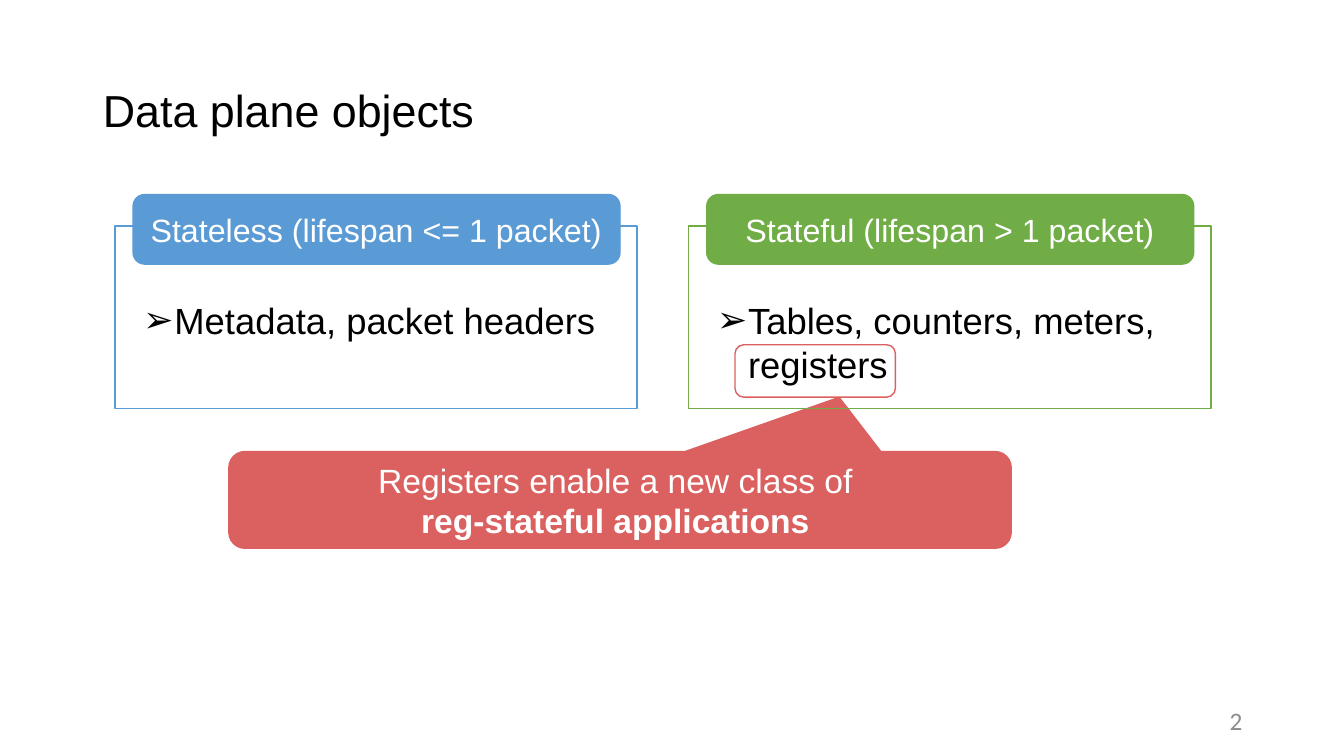
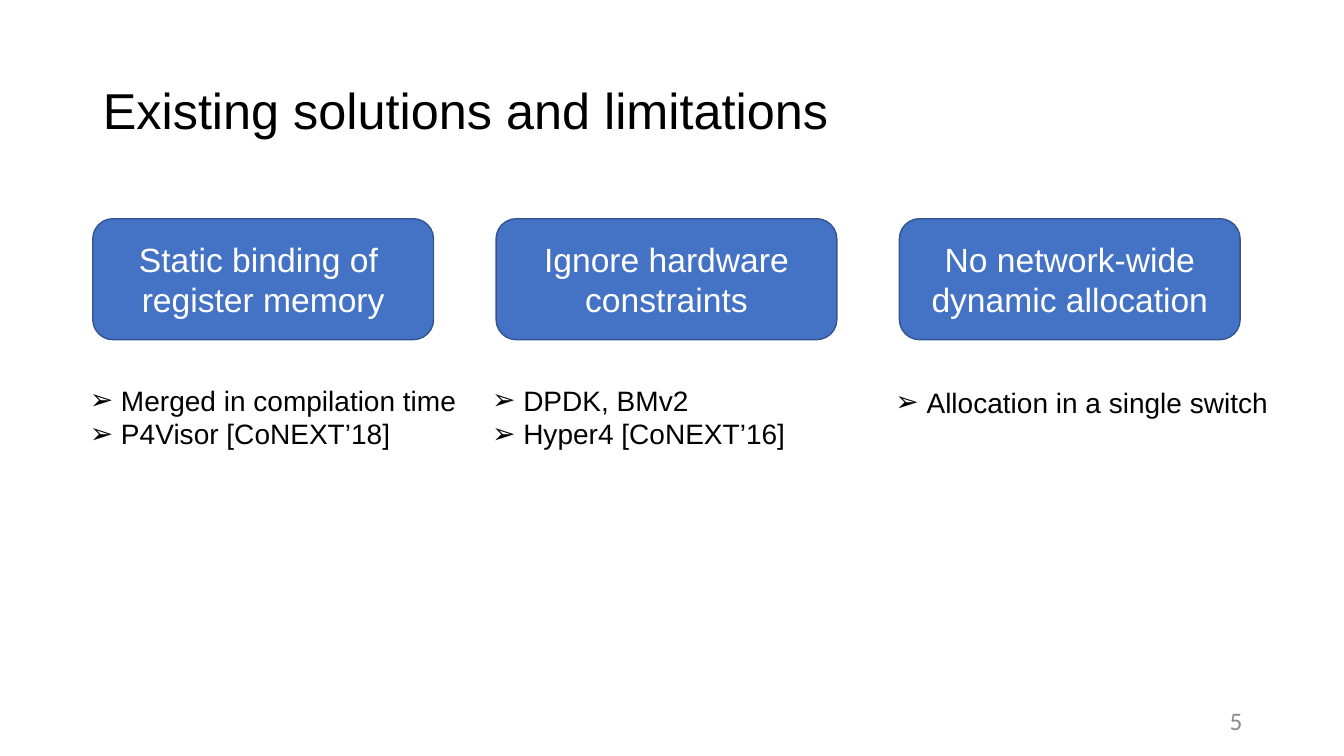
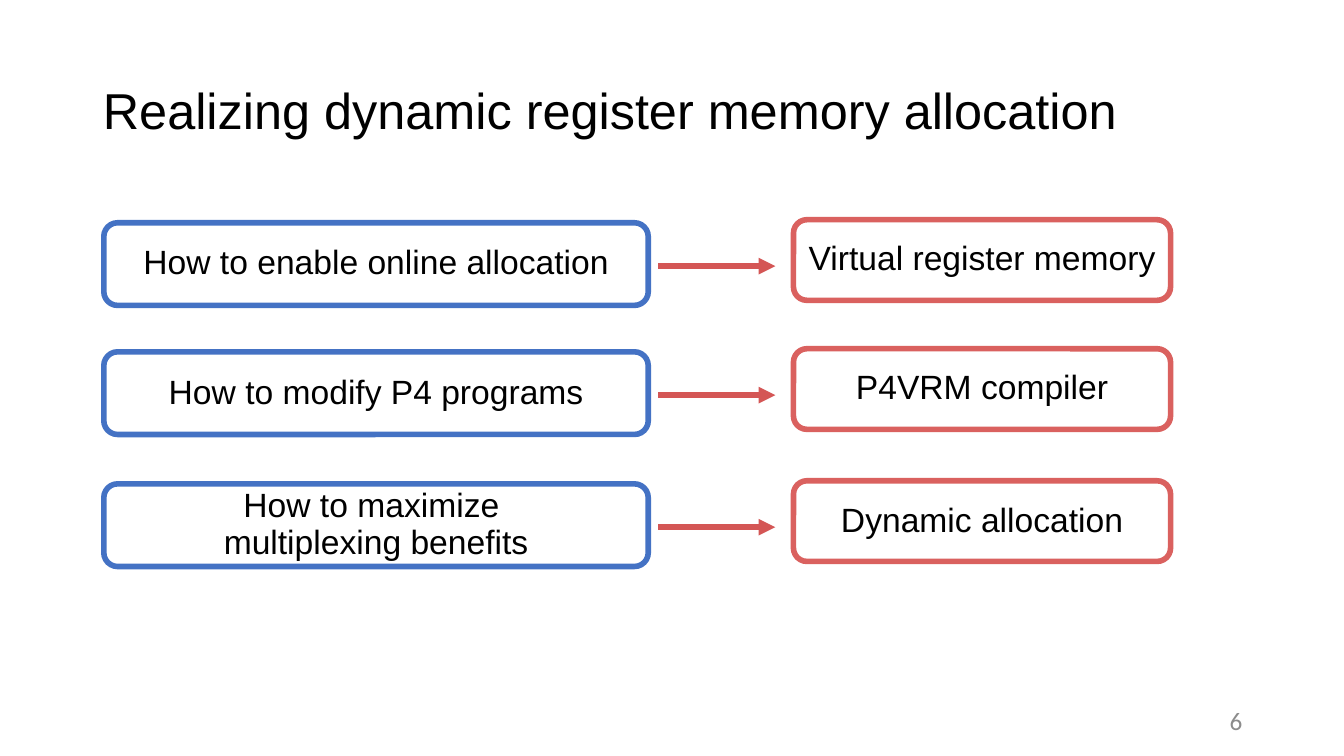
from dataclasses import dataclass

import lxml.etree
import pptx
import pptx.dml.color
import pptx.enum.shapes
import pptx.enum.text
import pptx.oxml.ns
import pptx.util

EMU_PER_PX = 9144
SHAPE = pptx.enum.shapes.MSO_SHAPE
ALIGN = pptx.enum.text.PP_ALIGN
ANCHOR = pptx.enum.text.MSO_ANCHOR
AUTO_SIZE = pptx.enum.text.MSO_AUTO_SIZE
qn = pptx.oxml.ns.qn


@dataclass(frozen=True)
class Theme:
    font: str = "Arial"
    number_font: str = "Calibri"
    black: str = "000000"
    white: str = "FFFFFF"
    grey: str = "8C8C8C"
    sky: str = "5B9BD5"
    green: str = "70AD46"
    red: str = "DA615F"
    arrow: str = "D45655"
    blue: str = "4472C4"
    navy: str = "325491"
    title_size: int = 36
    small_title_size: int = 32
    card_list_size: int = 26
    box_size: int = 24
    header_size: int = 23
    list_size: int = 20
    number_size: int = 18
    thin: int = 1
    thick: int = 4
    tight: float = 0.9


@dataclass(frozen=True)
class Box:
    left: int
    top: int
    width: int
    height: int


@dataclass(frozen=True)
class Card:
    left: int
    color: str
    header: str
    item: str
    list_height: int


@dataclass(frozen=True)
class Limitation:
    lines: tuple[str, ...]
    examples: tuple[str, ...]
    list_box: Box


@dataclass(frozen=True)
class Step:
    top: int
    question: tuple[str, ...]
    answer: str


THEME = Theme()

CARDS = (
    Card(114, THEME.sky, "Stateless (lifespan <= 1 packet)", "Metadata, packet headers", 54),
    Card(683, THEME.green, "Stateful (lifespan > 1 packet)", "Tables, counters, meters, registers", 98),
)

LIMITATIONS = (
    Limitation(
        ("Static binding of ", "register memory"),
        ("Merged in compilation time", "P4Visor [CoNEXT’18]"),
        Box(79, 375, 400, 77),
    ),
    Limitation(
        ("Ignore hardware constraints",),
        ("DPDK, BMv2", "Hyper4 [CoNEXT’16]"),
        Box(478, 375, 364, 77),
    ),
    Limitation(
        ("No network-wide dynamic allocation",),
        ("Allocation in a single switch",),
        Box(878, 377, 414, 44),
    ),
)

STEPS = (
    Step(221, ("How to enable online allocation",), "Virtual register memory"),
    Step(349, ("How to modify P4 programs",), "P4VRM compiler"),
    Step(480, ("How to maximize ", "multiplexing benefits"), "Dynamic allocation"),
)


def px(length: int) -> pptx.util.Emu:
    return pptx.util.Emu(length * EMU_PER_PX)


def rgb(color: str) -> pptx.dml.color.RGBColor:
    return pptx.dml.color.RGBColor.from_string(color)


def place(shape, box: Box) -> None:
    shape.left, shape.top = px(box.left), px(box.top)
    shape.width, shape.height = px(box.width), px(box.height)


def write(
    shape,
    lines: tuple[str, ...],
    size: int,
    color: str,
    align=ALIGN.CENTER,
    anchor=ANCHOR.MIDDLE,
    font: str = THEME.font,
    spacing: float = 1.0,
    gap: int = 0,
    bullet: str = "",
    auto_size=AUTO_SIZE.NONE,
) -> None:
    frame = shape.text_frame
    frame.text = "\n".join(lines)
    frame.word_wrap = True
    frame.auto_size = auto_size
    frame.vertical_anchor = anchor
    for index, para in enumerate(frame.paragraphs):
        if bullet:
            properties = para._p.get_or_add_pPr()
            properties.set("marL", str(px(31)))
            properties.set("indent", str(px(-31)))
            lxml.etree.SubElement(properties, qn("a:buFont")).set("typeface", font)
            lxml.etree.SubElement(properties, qn("a:buChar")).set("char", bullet)
        para.alignment = align
        para.line_spacing = spacing
        para.space_before = pptx.util.Pt(gap if index else 0)
        for span in para.runs:
            span.font.name = font
            span.font.size = pptx.util.Pt(size)
            span.font.bold = False
            span.font.color.rgb = rgb(color)


def add_page(deck, layout: int, title: str, title_size: int, number: int):
    page = deck.slides.add_slide(deck.slide_layouts[layout])
    place(page.shapes.title, Box(92, 40, 1150, 145))
    write(page.shapes.title, (title,), title_size, THEME.black, align=ALIGN.LEFT, spacing=THEME.tight)
    number_box = page.shapes.add_textbox(px(942), px(700), px(300), px(30))
    write(number_box, (str(number),), THEME.number_size, THEME.grey,
          align=ALIGN.RIGHT, font=THEME.number_font)
    return page


def add_box(page, kind, box: Box, line: str, fill: str = "", weight: int = THEME.thin):
    shape = page.shapes.add_shape(kind, px(box.left), px(box.top), px(box.width), px(box.height))
    shape.shadow.inherit = False
    if fill:
        shape.fill.solid()
        shape.fill.fore_color.rgb = rgb(fill)
    else:
        shape.fill.background()
    shape.line.color.rgb = rgb(line)
    shape.line.width = pptx.util.Pt(weight)
    return shape


def fill_list(page, index: int, box: Box, items: tuple[str, ...], size: int) -> None:
    body = page.placeholders[index]
    place(body, box)
    write(body, items, size, THEME.black, align=ALIGN.LEFT, anchor=ANCHOR.TOP,
          bullet="➢", auto_size=AUTO_SIZE.SHAPE_TO_FIT_TEXT)


def add_arrow(page, left: int, right: int, middle: int) -> None:
    arrow = page.shapes.add_connector(
        pptx.enum.shapes.MSO_CONNECTOR.STRAIGHT, px(left), px(middle), px(right), px(middle))
    arrow.line.color.rgb = rgb(THEME.arrow)
    arrow.line.width = pptx.util.Pt(THEME.thick)
    lxml.etree.SubElement(arrow.line._get_or_add_ln(), qn("a:tailEnd")).set("type", "triangle")
    lxml.etree.SubElement(arrow._element.spPr, qn("a:effectLst"))


def remove_empty_placeholders(page) -> None:
    for placeholder in list(page.placeholders):
        if not placeholder.text_frame.text:
            placeholder._element.getparent().remove(placeholder._element)


def build_objects(deck) -> None:
    page = add_page(deck, 3, "Data plane objects", THEME.small_title_size, 2)
    callout = add_box(page, SHAPE.ROUNDED_RECTANGULAR_CALLOUT, Box(227, 448, 776, 96),
                      THEME.red, THEME.red)
    callout.adjustments[0] = 0.28
    callout.adjustments[1] = -1.06
    write(callout, ("Registers enable a new class of ", "reg-stateful applications "),
          THEME.box_size, THEME.white)
    callout.text_frame.paragraphs[1].runs[0].font.bold = True
    for index, card in enumerate(CARDS, start=1):
        add_box(page, SHAPE.RECTANGLE, Box(card.left, 224, 518, 181), card.color)
        inner = card.left + 18
        header = add_box(page, SHAPE.ROUNDED_RECTANGLE, Box(inner, 193, 483, 69),
                         card.color, card.color)
        write(header, (card.header,), THEME.header_size, THEME.white)
        fill_list(page, index, Box(inner, 291, 483, card.list_height),
                  (card.item,), THEME.card_list_size)
    add_box(page, SHAPE.ROUNDED_RECTANGLE, Box(729, 342, 159, 52), THEME.red)


def build_limitations(deck) -> None:
    page = add_page(deck, 4, "Existing solutions and limitations", THEME.title_size, 5)
    for index, limitation in enumerate(LIMITATIONS):
        box = add_box(page, SHAPE.ROUNDED_RECTANGLE, Box(92 + 400 * index, 217, 338, 120),
                      THEME.navy, THEME.blue)
        write(box, limitation.lines, THEME.box_size, THEME.white)
        fill_list(page, index + 1, limitation.list_box, limitation.examples, THEME.list_size)
    remove_empty_placeholders(page)


def build_steps(deck) -> None:
    page = add_page(deck, 5, "Realizing dynamic register memory allocation", THEME.title_size, 6)
    for step in STEPS:
        sides = (
            (Box(103, step.top, 540, 82), THEME.blue, step.question),
            (Box(787, step.top - 3, 374, 80), THEME.red, (step.answer,)),
        )
        for box, color, lines in sides:
            shape = add_box(page, SHAPE.ROUNDED_RECTANGLE, box, color, THEME.white, THEME.thick)
            write(shape, lines, THEME.box_size, THEME.black, spacing=THEME.tight, gap=1)
        add_arrow(page, 653, 769, step.top + 43)


def main() -> None:
    deck = pptx.Presentation()
    deck.slide_width, deck.slide_height = px(1333), px(750)
    build_objects(deck)
    build_limitations(deck)
    build_steps(deck)
    deck.save("out.pptx")


if __name__ == "__main__":
    main()
